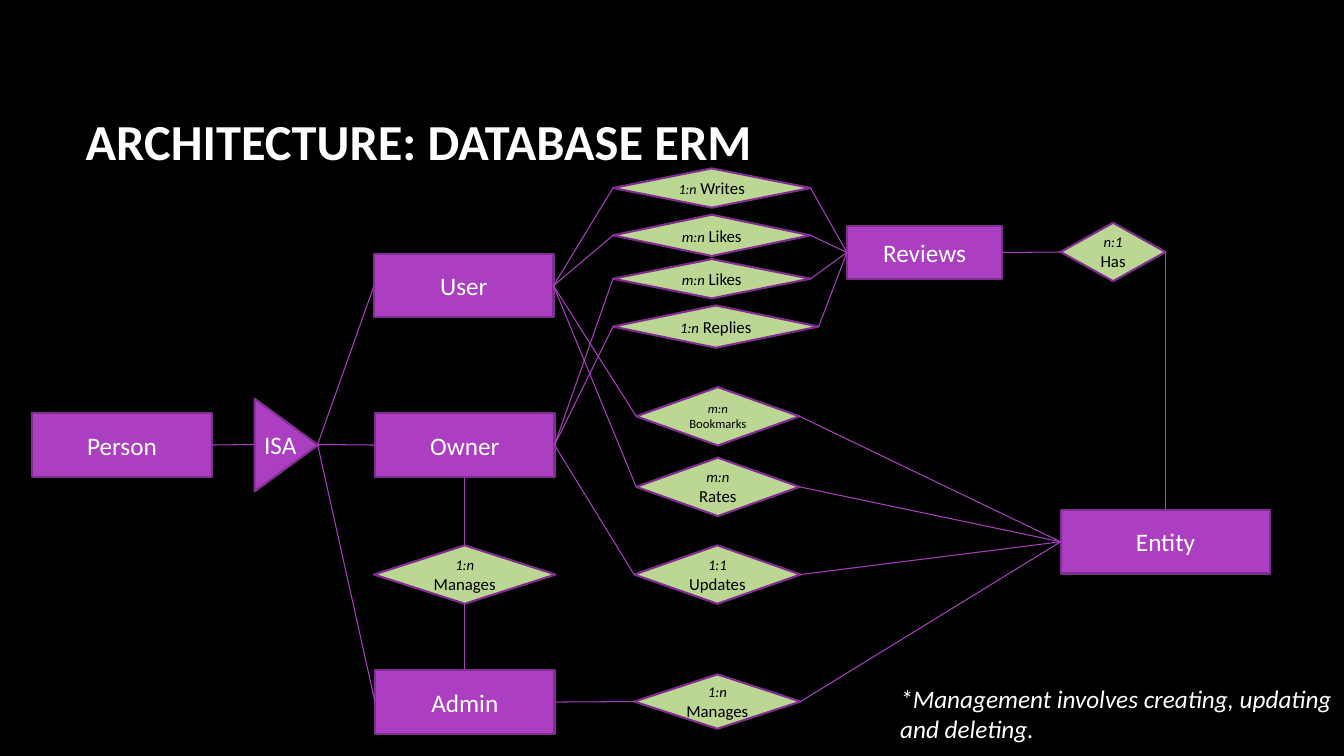
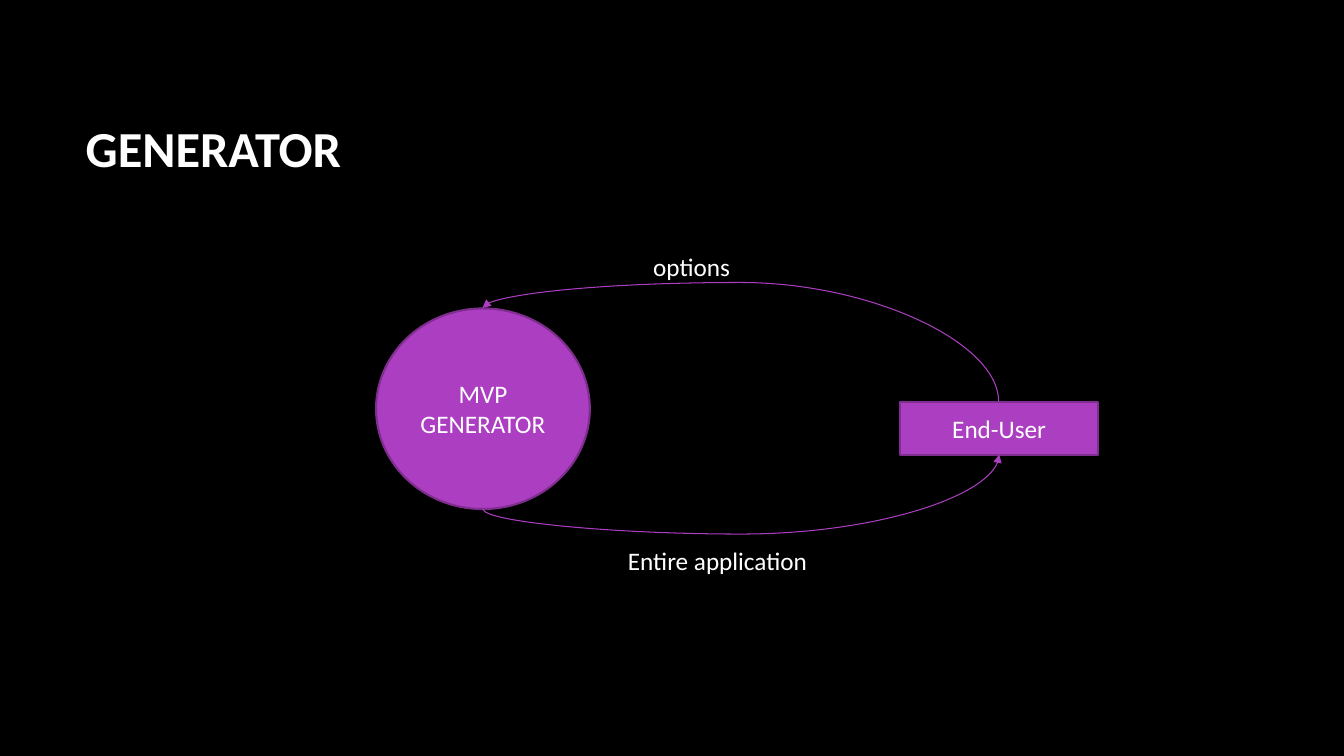
from dataclasses import dataclass
from typing import NamedTuple, Optional, Union

from lxml import etree
from pptx import Presentation
from pptx import util as u
from pptx.dml.color import RGBColor
from pptx.enum import shapes, text
from pptx.oxml import ns

# Shared look
PX = 9144  # EMU in one px, 100 px to the inch
SLIDE_W, SLIDE_H = 1333, 750
FONT = "Calibri"
BLACK = RGBColor(0x00, 0x00, 0x00)
WHITE = RGBColor(0xFF, 0xFF, 0xFF)
PURPLE = RGBColor(0xAC, 0x3E, 0xC1)
DARK_PURPLE = RGBColor(0x7F, 0x2E, 0x8F)
GREEN = RGBColor(0xBC, 0xD6, 0x94)

TOP, LEFT, BOTTOM, RIGHT = range(4)
INLINE, BREAK, PARAGRAPH = range(3)


class Box(NamedTuple):
    x: int
    y: int
    w: int
    h: int


class Point(NamedTuple):
    x: int
    y: int


class Joint(NamedTuple):
    node: str
    side: int


End = Union[Point, Joint]


@dataclass(frozen=True)
class Entity:
    name: str
    box: Box


@dataclass(frozen=True)
class Relation:
    key: str
    cardinality: str
    verb: str
    box: Box
    layout: int = BREAK
    cardinality_size: float = 10.5
    verb_size: float = 12


@dataclass(frozen=True)
class Flow:
    begin: Point
    end: Point
    rotation: int
    bend: int  # thousandths of a percent of the connector's own width


# Drawing functions
def emu(px: float) -> u.Emu:
    return u.Emu(round(px * PX))


def emu_box(box: Box) -> list:
    return [emu(length) for length in box]


def add_run(paragraph, words: str, size: float = 18, color: RGBColor = WHITE,
            italic: bool = False, bold: bool = False) -> None:
    run = paragraph.add_run()
    run.text = words
    run.font.name = FONT
    run.font.size = u.Pt(size)
    run.font.color.rgb = color
    run.font.italic = italic
    run.font.bold = bold


def add_titled_slide(prs, heading: str, top: int):
    slide = prs.slides.add_slide(prs.slide_layouts.get_by_name("Title Only"))
    title = slide.shapes.title
    title.left, title.top, title.width, title.height = emu_box(Box(75, top, 1108, 159))
    title.text_frame.vertical_anchor = text.MSO_ANCHOR.MIDDLE
    paragraph = title.text_frame.paragraphs[0]
    paragraph.alignment = text.PP_ALIGN.LEFT
    add_run(paragraph, heading, 36, bold=True)
    return slide


def add_node(slide, kind, box: Box, fill: RGBColor = PURPLE, label: str = ""):
    node = slide.shapes.add_shape(kind, *emu_box(box))
    node.shadow.inherit = False
    node.fill.solid()
    node.fill.fore_color.rgb = fill
    node.line.color.rgb = DARK_PURPLE
    node.line.width = u.Pt(1.5)
    frame = node.text_frame
    frame.word_wrap = True
    frame.vertical_anchor = text.MSO_ANCHOR.MIDDLE
    frame.paragraphs[0].alignment = text.PP_ALIGN.CENTER
    if label:
        add_run(frame.paragraphs[0], label)
    return node


def add_relation(slide, relation: Relation):
    diamond = add_node(slide, shapes.MSO_SHAPE.DIAMOND, relation.box, GREEN)
    paragraph = diamond.text_frame.paragraphs[0]
    add_run(paragraph, relation.cardinality, relation.cardinality_size, BLACK, italic=True)
    if relation.layout == BREAK:
        paragraph.add_line_break()
    elif relation.layout == PARAGRAPH:
        paragraph = diamond.text_frame.add_paragraph()
        paragraph.alignment = text.PP_ALIGN.CENTER
    add_run(paragraph, relation.verb, relation.verb_size, BLACK)
    return diamond


def add_caption(slide, words: str, box: Box, wrap: bool = False, italic: bool = False) -> None:
    frame = slide.shapes.add_textbox(*emu_box(box)).text_frame
    frame.word_wrap = wrap
    frame.auto_size = text.MSO_AUTO_SIZE.SHAPE_TO_FIT_TEXT
    add_run(frame.paragraphs[0], words, italic=italic)


def add_line(slide, kind, begin: Point, end: Point):
    line = slide.shapes.add_connector(kind, emu(begin.x), emu(begin.y), emu(end.x), emu(end.y))
    line.line.color.rgb = PURPLE
    line.line.width = u.Pt(0.75)
    etree.SubElement(line.element.spPr, ns.qn("a:effectLst"))
    return line


def add_link(slide, nodes: dict, begin: End, end: End) -> None:
    start, stop = (p if isinstance(p, Point) else Point(0, 0) for p in (begin, end))
    line = add_line(slide, shapes.MSO_CONNECTOR.STRAIGHT, start, stop)
    if isinstance(begin, Joint):
        line.begin_connect(nodes[begin.node], begin.side)
    if isinstance(end, Joint):
        line.end_connect(nodes[end.node], end.side)


def add_flow(slide, flow: Flow) -> None:
    # The frame is laid out before its quarter turn, about the same centre
    turn = 1 if flow.rotation == 270 else -1
    width = -turn * (flow.end.y - flow.begin.y)
    height = turn * (flow.end.x - flow.begin.x)
    cx, cy = (flow.begin.x + flow.end.x) / 2, (flow.begin.y + flow.end.y) / 2
    begin = Point(round(cx - width / 2), round(cy - height / 2))
    curve = add_line(slide, shapes.MSO_CONNECTOR.CURVE, begin,
                     Point(begin.x + width, begin.y + height))
    properties = curve.element.spPr
    properties.find(ns.qn("a:xfrm")).set("rot", str(flow.rotation * 60000))
    geometry = properties.find(ns.qn("a:prstGeom"))
    guides = geometry.find(ns.qn("a:avLst"))
    if guides is None:
        guides = etree.SubElement(geometry, ns.qn("a:avLst"))
    etree.SubElement(guides, ns.qn("a:gd"), name="adj1", fmla=f"val {flow.bend}")
    etree.SubElement(properties.find(ns.qn("a:ln")), ns.qn("a:tailEnd"), type="triangle")


# Database model
ENTITIES = [
    Entity("User", Box(371, 252, 178, 63)),
    Entity("Entity", Box(1052, 506, 208, 63)),
    Entity("Owner", Box(372, 410, 178, 63)),
    Entity("Person", Box(32, 410, 178, 63)),
    Entity("Admin", Box(372, 665, 178, 63)),
    Entity("Reviews", Box(840, 224, 154, 53)),
]
RELATIONS = [
    Relation("writes", "1:n", " Writes", Box(608, 167, 196, 39), INLINE, 10),
    Relation("user likes", "m:n", " Likes", Box(608, 213, 196, 41), INLINE),
    Relation("owner likes", "m:n", " Likes", Box(608, 257, 196, 39), INLINE),
    Relation("replies", "1:n", " Replies", Box(608, 303, 204, 42), INLINE),
    Relation("bookmarks", "m:n ", "Bookmarks", Box(631, 384, 162, 58), INLINE, 9, 9),
    Relation("rates", "m:n", "Rates", Box(631, 454, 162, 58)),
    Relation("updates", "1:1", "Updates", Box(629, 541, 165, 58), PARAGRAPH),
    Relation("manages entity", "1:n", "Manages", Box(629, 669, 165, 54), PARAGRAPH),
    Relation("manages owner", "1:n", "Manages", Box(371, 541, 180, 58)),
    Relation("has", "n:1", "Has", Box(1052, 221, 104, 58)),
]
# Each relation runs from the right of one entity to the left of another
SPANS = [
    ("User", "writes", "Reviews"),
    ("User", "user likes", "Reviews"),
    ("Owner", "owner likes", "Reviews"),
    ("Owner", "replies", "Reviews"),
    ("User", "bookmarks", "Entity"),
    ("User", "rates", "Entity"),
    ("Owner", "updates", "Entity"),
    ("Admin", "manages entity", "Entity"),
]
ISA_BOX = Box(238, 410, 92, 63)
ISA_BASE, ISA_TIP = Point(252, 441), Point(315, 441)
LINKS: list[tuple[End, End]] = [
    (Joint("Person", RIGHT), ISA_BASE),
    *((ISA_TIP, Joint(role, LEFT)) for role in ("User", "Owner", "Admin")),
    (Joint("Owner", BOTTOM), Joint("manages owner", TOP)),
    (Joint("manages owner", BOTTOM), Joint("Admin", TOP)),
    (Joint("Reviews", RIGHT), Joint("has", LEFT)),
    (Joint("has", RIGHT), Point(1156, 506)),
]


def build_database_slide(prs) -> None:
    slide = add_titled_slide(prs, "ARCHITECTURE: DATABASE ERM", 60)
    nodes = {entity.name: add_node(slide, shapes.MSO_SHAPE.RECTANGLE, entity.box,
                                   label=entity.name)
             for entity in ENTITIES}
    nodes |= {relation.key: add_relation(slide, relation) for relation in RELATIONS}

    # Inheritance triangle
    isa = add_node(slide, shapes.MSO_SHAPE.ISOSCELES_TRIANGLE, ISA_BOX)
    isa.rotation = 90
    add_caption(slide, "ISA", Box(252, 421, 52, 40))

    for source, relation, target in SPANS:
        add_link(slide, nodes, Joint(source, RIGHT), Joint(relation, LEFT))
        add_link(slide, nodes, Joint(relation, RIGHT), Joint(target, LEFT))
    for begin, end in LINKS:
        add_link(slide, nodes, begin, end)
    add_caption(slide, "*Management involves creating, updating and deleting.",
                Box(883, 673, 451, 71), wrap=True, italic=True)


# Generator loop
FLOWS: list[Flow] = [
    Flow(Point(991, 399), Point(479, 306), 270, 127100),
    Flow(Point(479, 505), Point(991, 451), 90, -46100),
]


def build_generator_slide(prs) -> None:
    slide = add_titled_slide(prs, "GENERATOR", 67)
    add_node(slide, shapes.MSO_SHAPE.OVAL, Box(373, 306, 212, 199), label="MVP GENERATOR")
    add_node(slide, shapes.MSO_SHAPE.RECTANGLE, Box(893, 399, 196, 52), label="End-User")
    for flow in FLOWS:
        add_flow(slide, flow)
    add_caption(slide, "options", Box(638, 244, 97, 40))
    add_caption(slide, "Entire application", Box(613, 536, 200, 40))


def main() -> None:
    prs = Presentation()
    prs.slide_width, prs.slide_height = emu(SLIDE_W), emu(SLIDE_H)
    backdrop = prs.slide_master.background.fill
    backdrop.solid()
    backdrop.fore_color.rgb = BLACK
    build_database_slide(prs)
    build_generator_slide(prs)
    prs.save("out.pptx")


if __name__ == "__main__":
    main()
